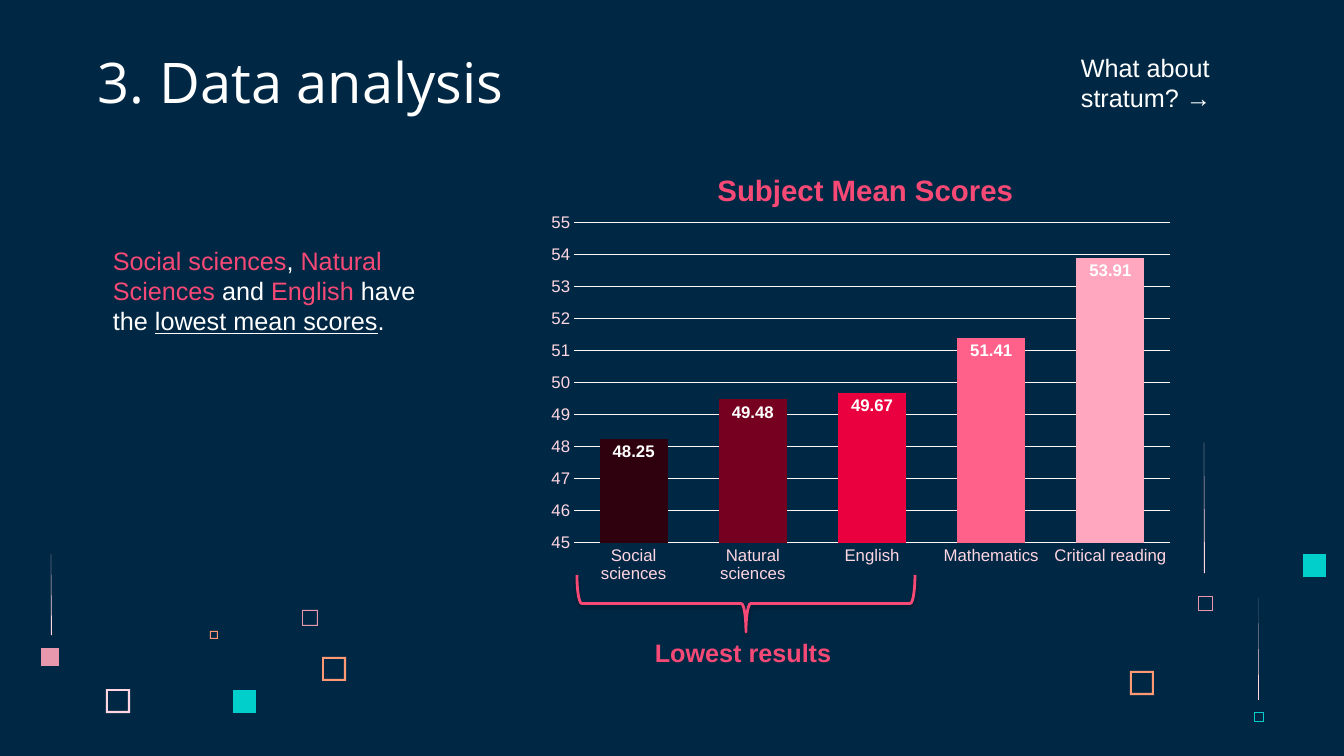
from dataclasses import dataclass

from lxml.etree import SubElement
from pptx import Presentation
from pptx.chart.data import CategoryChartData
from pptx.dml.color import RGBColor
from pptx.enum.chart import XL_CHART_TYPE, XL_LABEL_POSITION, XL_TICK_MARK
from pptx.enum.shapes import MSO_SHAPE
from pptx.enum.text import MSO_ANCHOR, MSO_AUTO_SIZE, PP_ALIGN
from pptx.oxml.ns import qn
from pptx.util import Emu, Pt

EMU_PER_PIXEL = 914400 / 100.8


@dataclass(frozen=True)
class Theme:
    navy: str = "002845"
    white: str = "FFFFFF"
    accent: str = "F64975"
    pale: str = "FFD6E1"
    grid: str = "FFF9FA"
    rose: str = "E898AC"
    orange: str = "FF9973"
    teal: str = "00CFCC"
    bars: tuple = ("2F000D", "75001F", "EB003F", "FF618B", "FFA7BF")
    heading_font: str = "Open Sans"
    body_font: str = "Arial"
    heading_size: int = 40
    chart_title_size: int = 21
    body_size: int = 18
    label_size: int = 12


THEME = Theme()


def px(pixels):
    return Emu(round(pixels * EMU_PER_PIXEL))


def scaled(box):
    return [px(length) for length in box]


def apply(target, values):
    for name, value in values.items():
        setattr(target, name, value)


def paint(fill, color):
    fill.solid()
    fill.fore_color.rgb = RGBColor.from_string(color)


def style_font(font, color, size=THEME.body_size, name=THEME.body_font, **extra):
    apply(font, {"name": name, "size": Pt(size), **extra})
    font.color.rgb = RGBColor.from_string(color)


# Background decoration
def square_corners(left, top, size):
    right, bottom = left + size, top + size
    return [(left, top), (left, bottom), (right, bottom), (right, top)]


def add_outline(slide, contours, fill=None, line=None):
    builder = None
    for contour in contours:
        start, *rest = [tuple(scaled(point)) for point in contour]
        if builder is None:
            builder = slide.shapes.build_freeform(*start)
        else:
            builder.move_to(*start)
        builder.add_line_segments(rest, close=True)
    ornament = builder.convert_to_shape()
    ornament.shadow.inherit = False
    if fill:
        paint(ornament.fill, fill)
    else:
        ornament.fill.background()
    if line:
        paint(ornament.line.fill, line)
        ornament.line.width = Pt(0.25)
    else:
        ornament.line.fill.background()


def add_hollow_square(slide, left, top, size, color):
    rim = round(size / 12) or 1
    hole = square_corners(left + rim, top + rim, size - 2 * rim)
    add_outline(slide, [square_corners(left, top, size), hole[::-1]], fill=color)


def add_streak(slide, left, top, height):
    bottom = top + height
    add_outline(slide, [[(left, top), (left, bottom), (left + 1, bottom)]], fill=THEME.pale)


def add_decoration(slide, box):
    x, y, _, _ = box
    for left, top, size, color in [(106, 689, 24, THEME.pale), (302, 610, 16, THEME.rose),
                                   (210, 631, 8, THEME.orange), (322, 657, 24, THEME.orange),
                                   (1130, 671, 24, THEME.orange)]:
        add_hollow_square(slide, x + left, y + top, size, color)
    for left, top, size, color in [(233, 690, 23, THEME.teal), (41, 648, 18, THEME.rose),
                                   (1303, 554, 23, THEME.teal)]:
        add_outline(slide, [square_corners(x + left, y + top, size)], fill=color)
    for left, top, size, color in [(1198, 596, 14, THEME.rose), (1254, 712, 9, THEME.teal)]:
        add_outline(slide, [square_corners(x + left, y + top, size)], line=color)
    for left, top, height in [(1204, 442, 131), (51, 554, 81), (1258, 598, 102)]:
        add_streak(slide, x + left, y + top, height)


# Text
def add_title(slide, box, wording):
    title = slide.shapes.title
    apply(title, dict(zip(("left", "top", "width", "height"), scaled(box))))
    frame = title.text_frame
    margins = dict.fromkeys(("margin_left", "margin_top", "margin_right", "margin_bottom"), px(10))
    apply(frame, {"text": wording, "vertical_anchor": MSO_ANCHOR.BOTTOM,
                  "auto_size": MSO_AUTO_SIZE.NONE, "word_wrap": True, **margins})
    paragraph = frame.paragraphs[0]
    apply(paragraph, {"alignment": PP_ALIGN.LEFT, "line_spacing": 1.0})
    style_font(paragraph.runs[0].font, THEME.white, THEME.heading_size, THEME.heading_font)


def add_text(slide, box, runs):
    frame = slide.shapes.add_textbox(*scaled(box)).text_frame
    apply(frame, {"word_wrap": True, "auto_size": MSO_AUTO_SIZE.SHAPE_TO_FIT_TEXT})
    for wording, color, emphasis in runs:
        run = frame.paragraphs[0].add_run()
        run.text = wording
        style_font(run.font, color, **emphasis)


# Chart
def place_in_chart(parent, index, settings):
    layout = parent.find(qn("c:layout"))
    if layout is not None:
        parent.remove(layout)
    layout = SubElement(parent, qn("c:layout"))
    parent.insert(index, layout)
    manual = SubElement(layout, qn("c:manualLayout"))
    for tag, value in settings.items():
        SubElement(manual, qn(f"c:{tag}")).set("val", str(value))


def add_scores_chart(slide, box):
    scores = CategoryChartData(number_format="0.00")
    scores.categories = ["Social sciences", "Natural sciences", "English",
                         "Mathematics", "Critical reading"]
    scores.add_series("Series 1", [48.25, 49.48, 49.67, 51.41, 53.91])
    chart = slide.shapes.add_chart(XL_CHART_TYPE.COLUMN_CLUSTERED, *scaled(box), scores).chart
    apply(chart, {"has_legend": False, "has_title": True})
    style_font(chart.font, THEME.pale, THEME.label_size)

    heading = chart.chart_title.text_frame
    heading.text = "Subject Mean Scores"
    style_font(heading.paragraphs[0].runs[0].font, THEME.accent, THEME.chart_title_size, bold=True)
    edges = {"xMode": "edge", "yMode": "edge"}
    place_in_chart(chart.chart_title.element, 1, {**edges, "x": 0.27, "y": 0.04})
    place_in_chart(chart.element.find(".//" + qn("c:plotArea")), 0,
                   {"layoutTarget": "inner", **edges,
                    "x": 0.056, "y": 0.167, "w": 0.924, "h": 0.724})

    subjects, points = chart.category_axis, chart.value_axis
    apply(points, {"minimum_scale": 45, "maximum_scale": 55, "major_unit": 1,
                   "has_major_gridlines": True})
    apply(points.tick_labels, {"number_format": "0", "number_format_is_linked": False})
    for axis in (subjects, points):
        apply(axis, {"major_tick_mark": XL_TICK_MARK.NONE, "minor_tick_mark": XL_TICK_MARK.NONE})
        style_font(axis.tick_labels.font, THEME.pale, THEME.label_size)
    for line in (subjects.format.line, points.major_gridlines.format.line):
        paint(line.fill, THEME.grid)
        line.width = Pt(0.75)
    points.format.line.fill.background()

    plot = chart.plots[0]
    apply(plot, {"gap_width": 75, "overlap": 40, "vary_by_categories": False})
    means = plot.series[0]
    for index, color in enumerate(THEME.bars):
        paint(means.points[index].format.fill, color)
    labels = means.data_labels
    apply(labels, {"show_value": True, "position": XL_LABEL_POSITION.INSIDE_END,
                   "number_format": "0.00", "number_format_is_linked": False})
    style_font(labels.font, THEME.white, THEME.label_size, bold=True)


# Bracket under the three lowest subjects
def add_lowest_bracket(slide, box):
    left, top, width, height = box
    unturned = (left + (width - height) / 2, top + (height - width) / 2, height, width)
    brace = slide.shapes.add_shape(MSO_SHAPE.LEFT_BRACE, *scaled(unturned))
    brace.rotation = 270
    brace.fill.background()
    paint(brace.line.fill, THEME.accent)
    brace.line.width = Pt(2)
    brace.shadow.inherit = False
    effects = brace.element.spPr.find(qn("a:effectLst"))
    shadow = SubElement(effects, qn("a:outerShdw"), blurRad=str(Pt(3.1)), dist=str(Pt(1.6)),
                        dir="5400000", rotWithShape="0")
    black = SubElement(shadow, qn("a:srgbClr"), val="000000")
    SubElement(black, qn("a:alpha"), val="38000")
    add_text(slide, (left + 68, top + 57, 205, 40),
             [("Lowest results", THEME.accent, {"bold": True})])


def build_analysis_slide(deck):
    slide = deck.slides.add_slide(deck.slide_layouts[5])
    paint(slide.background.fill, THEME.navy)
    add_decoration(slide, (0, 0, 1344, 756))
    add_title(slide, (88, 40, 702, 85), "3. Data analysis")
    add_text(slide, (103, 240, 348, 102), [
        ("Social sciences", THEME.accent, {}),
        (", ", THEME.white, {}),
        ("Natural Sciences", THEME.accent, {}),
        (" and ", THEME.white, {}),
        ("English", THEME.accent, {}),
        (" have the ", THEME.white, {}),
        ("lowest mean scores", THEME.white, {"underline": True}),
        (".", THEME.white, {}),
    ])
    add_scores_chart(slide, (538, 149, 645, 442))
    add_lowest_bracket(slide, (577, 575, 338, 57))
    add_text(slide, (1071, 47, 223, 72), [("What about stratum? →", THEME.white, {})])


deck = Presentation()
apply(deck, {"slide_width": px(1344), "slide_height": px(756)})
build_analysis_slide(deck)
deck.save("out.pptx")
